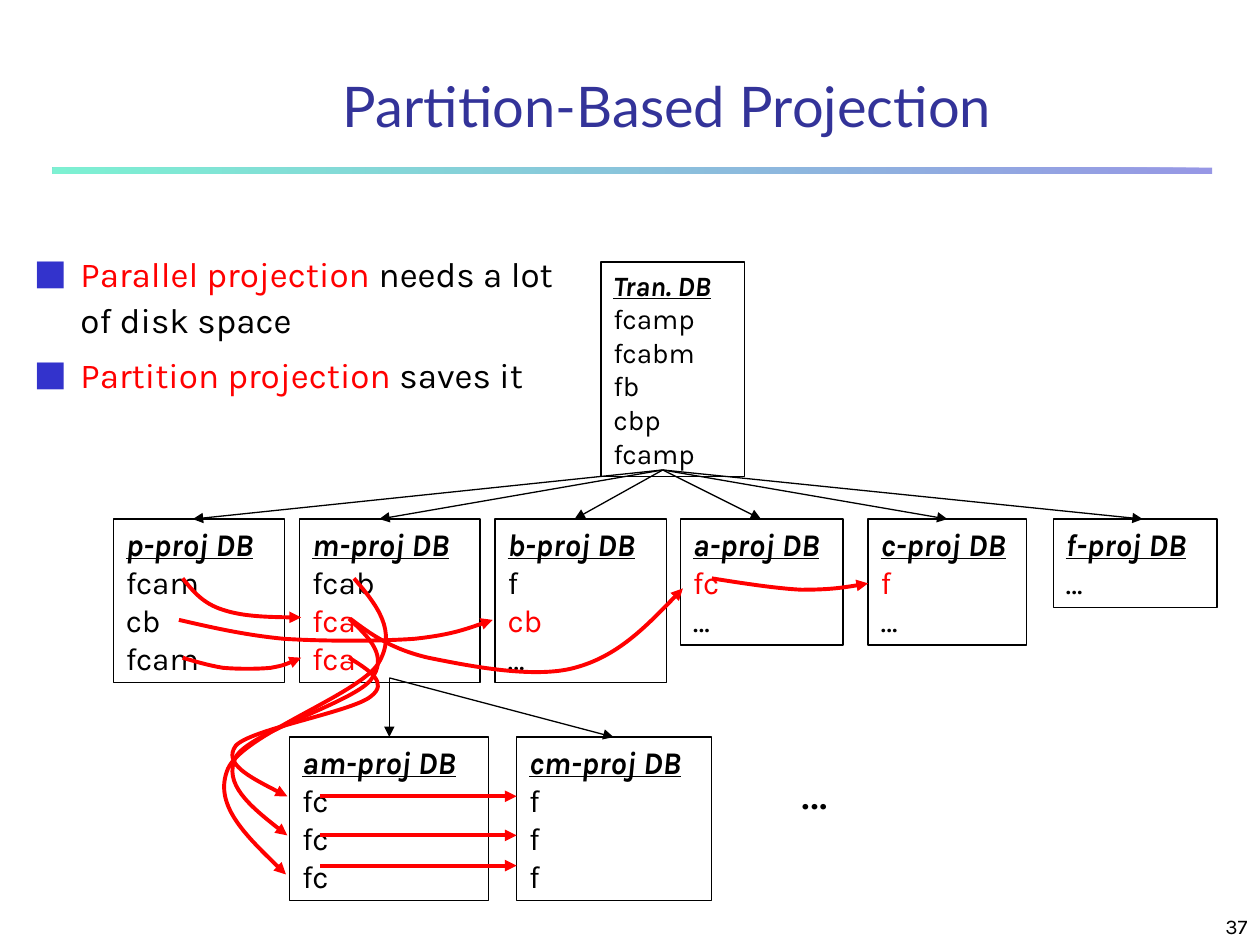
from lxml import etree
from pptx import Presentation
from pptx import util as u
from pptx.dml.color import RGBColor
from pptx.enum import shapes, text
from pptx.oxml.ns import qn

COLORS = {"title": "333399", "ink": "000000", "red": "FF0000",
          "bullet": "3333CC", "violet": "3333CC", "mint": "00E4A8"}

prs = Presentation()
prs.slide_width, prs.slide_height = u.Inches(10), u.Inches(7.5)
s = prs.slides.add_slide(prs.slide_layouts[6])
col, row = prs.slide_width / 100, prs.slide_height / 75


def add_run(p, words, size=18, color="ink", font="Karla", heading=False):
    r = p.add_run()
    r.text = words
    r.font.size, r.font.name = u.Pt(size), font
    r.font.color.rgb = RGBColor.from_string(COLORS[color])
    if heading:
        r.font.bold = r.font.italic = r.font.underline = True


def style_arrow(sp, color, width):
    sp.line.color.rgb = RGBColor.from_string(COLORS[color])
    sp.line.width = u.Pt(width)
    etree.SubElement(sp.line._get_or_add_ln(), qn("a:tailEnd"), type="triangle")
    etree.SubElement(sp._element.spPr, qn("a:effectLst"))


rule = s.shapes.add_shape(shapes.MSO_SHAPE.RECTANGLE, int(4.2 * col),
                          int(13.3 * row), int(92 * col), int(0.5 * row))
rule.shadow.inherit = False
rule.line.fill.background()
rule.fill.gradient()
rule.fill.gradient_angle = 180
for stop, name in zip(rule.fill.gradient_stops, ("violet", "mint")):
    stop.color.rgb = RGBColor.from_string(COLORS[name])
for clr in rule._element.spPr.iter(qn("a:srgbClr")):
    etree.SubElement(clr, qn("a:alpha"), val="51000")

labels = [
    (79.2, 70.8, 20.8, 4.2, "37", text.PP_ALIGN.RIGHT, text.MSO_ANCHOR.BOTTOM,
     dict(size=12)),
    (10, 5, 85.9, 6.7, "Partition-Based Projection", text.PP_ALIGN.CENTER,
     text.MSO_ANCHOR.MIDDLE, dict(size=32, color="title", font="Lato")),
    (62.6, 59.9, 5, 5.7, "…", text.PP_ALIGN.LEFT, text.MSO_ANCHOR.TOP,
     dict(size=28)),
]
for x, y, w, h, words, align, anchor, fmt in labels:
    tf = s.shapes.add_textbox(int(x * col), int(y * row), int(w * col), int(h * row)).text_frame
    tf.word_wrap, tf.vertical_anchor = True, anchor
    tf.paragraphs[0].alignment = align
    add_run(tf.paragraphs[0], words, **fmt)

tf = s.shapes.add_textbox(int(1.7 * col), int(19.2 * row), int(45 * col), int(15 * row)).text_frame
tf.word_wrap = True
points = [("Parallel projection ", "needs a lot of disk space"),
          ("Partition projection ", "saves it")]
for i, (key, rest) in enumerate(points):
    p = tf.add_paragraph() if i else tf.paragraphs[0]
    p.line_spacing, p.space_before = 1.1, u.Pt(5)
    pPr = p._p.get_or_add_pPr()
    pPr.set("marL", str(int(3.7 * col)))
    pPr.set("indent", str(int(-3.7 * col)))
    clr = etree.SubElement(pPr, qn("a:buClr"))
    etree.SubElement(clr, qn("a:srgbClr"), val=COLORS["bullet"])
    etree.SubElement(pPr, qn("a:buFont"), typeface="Karla")
    etree.SubElement(pPr, qn("a:buChar"), char="■")
    add_run(p, key, size=20, color="red")
    add_run(p, rest, size=20)

databases = [
    (47.7, 20.8, 11.4, 17, 16, "Tran. DB", ["fcamp", "fcabm", "fb", "cbp", "fcamp"], ()),
    (9, 41.2, 13.6, 13, 18, "p-proj DB", ["fcam", "cb", "fcam"], ()),
    (23.8, 41.2, 14.3, 13, 18, "m-proj DB", ["fcab", "fca", "fca"], (1, 2)),
    (39.3, 41.2, 13.6, 13, 18, "b-proj DB", ["f", "cb", "…"], (1,)),
    (54, 41.2, 12.9, 10, 18, "a-proj DB", ["fc", "…"], (0,)),
    (68.9, 41.2, 12.6, 10, 18, "c-proj DB", ["f", "…"], (0,)),
    (83.6, 41.2, 13, 7, 18, "f-proj DB", ["…"], ()),
    (23, 58.5, 15.8, 13, 18, "am-proj DB", ["fc"] * 3, ()),
    (41, 58.5, 15.5, 13, 18, "cm-proj DB", ["f"] * 3, ()),
]
for x, y, w, h, size, name, items, red in databases:
    sp = s.shapes.add_shape(shapes.MSO_SHAPE.RECTANGLE, int(x * col),
                            int(y * row), int(w * col), int(h * row))
    sp.shadow.inherit = False
    sp.fill.background()
    sp.line.color.rgb = RGBColor.from_string(COLORS["ink"])
    sp.line.width = u.Pt(0.75)
    tf = sp.text_frame
    tf.word_wrap, tf.vertical_anchor = True, text.MSO_ANCHOR.TOP
    tf.paragraphs[0].alignment = text.PP_ALIGN.LEFT
    add_run(tf.paragraphs[0], name, size=size, heading=True)
    for i, item in enumerate(items):
        p = tf.add_paragraph()
        p.alignment = text.PP_ALIGN.LEFT
        add_run(p, item, size=size, color="red" if i in red else "ink")

arrows = [(52.6, 37.3, x, 41.2, "ink", 0.75) for x in (15.3, 30.1, 45.6, 60.4, 75.2, 90.7)]
arrows += [(30.9, 53.8, x, 58.5, "ink", 0.75) for x in (30.9, 48.7)]
arrows += [(25.4, y, 41, y, "red", 2.25) for y in (63.2, 66.3, 68.7)]
for x1, y1, x2, y2, color, width in arrows:
    cn = s.shapes.add_connector(shapes.MSO_CONNECTOR.STRAIGHT, int(x1 * col),
                                int(y1 * row), int(x2 * col), int(y2 * row))
    style_arrow(cn, color, width)

curves = [
    [(14.5, 45.9), (15.3, 46.9), (16.1, 47.9), (17.7, 48.4), (19.2, 48.9), (21.5, 49), (23.9, 49)],
    [(27.8, 49.1), (29.4, 50.3), (31, 51.5), (34, 52.2), (37, 52.8), (42.3, 53.9), (45.6, 53),
     (49, 52.1), (51.6, 49.4), (54.2, 46.7)],
    [(56.5, 45.9), (59, 46.3), (61.6, 46.7), (63.6, 46.8), (65.7, 46.8), (67.3, 46.6), (68.9, 46.3)],
    [(14.5, 52.2), (15.5, 52.5), (16.5, 52.8), (17.7, 53), (18.8, 53.1), (20.5, 53.1), (21.5, 53),
     (22.6, 52.8), (23.2, 52.5), (23.9, 52.2)],
    [(27.7, 52.2), (29.3, 53.2), (30.9, 54.2), (29.4, 55.3), (27.9, 56.5), (19.8, 57.9), (18.7, 59.2),
     (17.7, 60.6), (20.2, 61.9), (22.8, 63.2)],
    [(27.7, 49.1), (29.3, 50.6), (30.9, 52.1), (29.4, 54), (27.9, 55.8), (19.8, 58.1), (18.7, 60.1),
     (17.7, 62.2), (20.2, 64.3), (22.8, 66.3)],
    [(28.1, 45.9), (29.9, 48), (31.6, 50.1), (30, 52.7), (28.3, 55.2), (19.3, 58.3), (18.1, 61),
     (16.9, 63.8), (19.8, 66.6), (22.7, 69.4)],
    [(14.2, 49.2), (16.8, 49.8), (19.4, 50.4), (22.5, 50.7), (25.6, 50.9), (30.1, 50.9), (32.9, 50.7),
     (35.7, 50.4), (37.4, 49.8), (39.1, 49.2)],
]
for pts in curves:
    pts = [(int(x * col), int(y * row)) for x, y in pts]
    fb = s.shapes.build_freeform(*pts[0])
    fb.add_line_segments(pts[1:], close=False)
    sp = fb.convert_to_shape()
    segments = list(sp._element.spPr.iter(qn("a:lnTo")))
    outline = segments[0].getparent()
    for i in range(0, len(segments), 3):
        bez = etree.SubElement(outline, qn("a:cubicBezTo"))
        for ln in segments[i:i + 3]:
            bez.append(ln[0])
            outline.remove(ln)
    sp.fill.background()
    style_arrow(sp, "red", 2.25)

prs.save("out.pptx")
